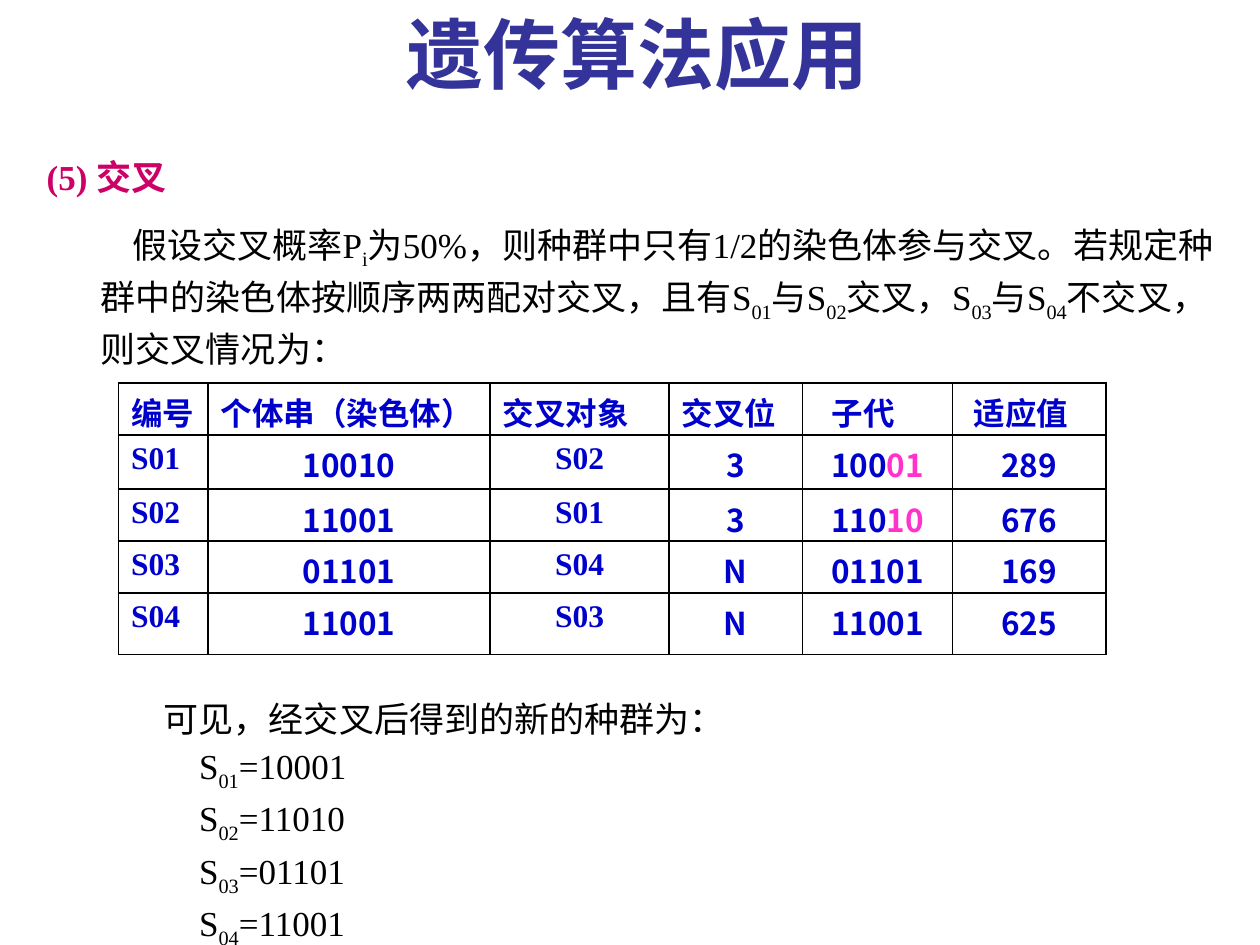
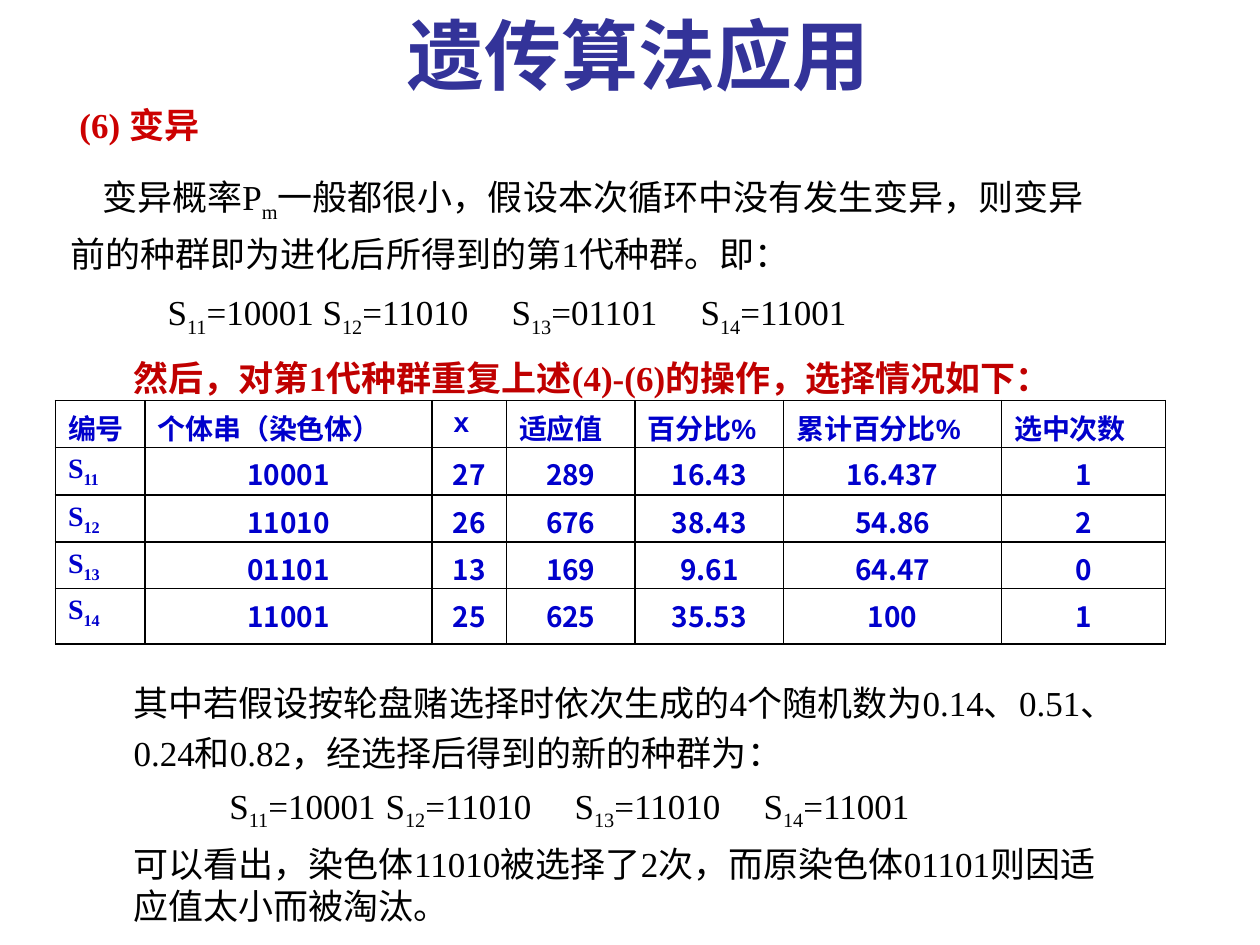
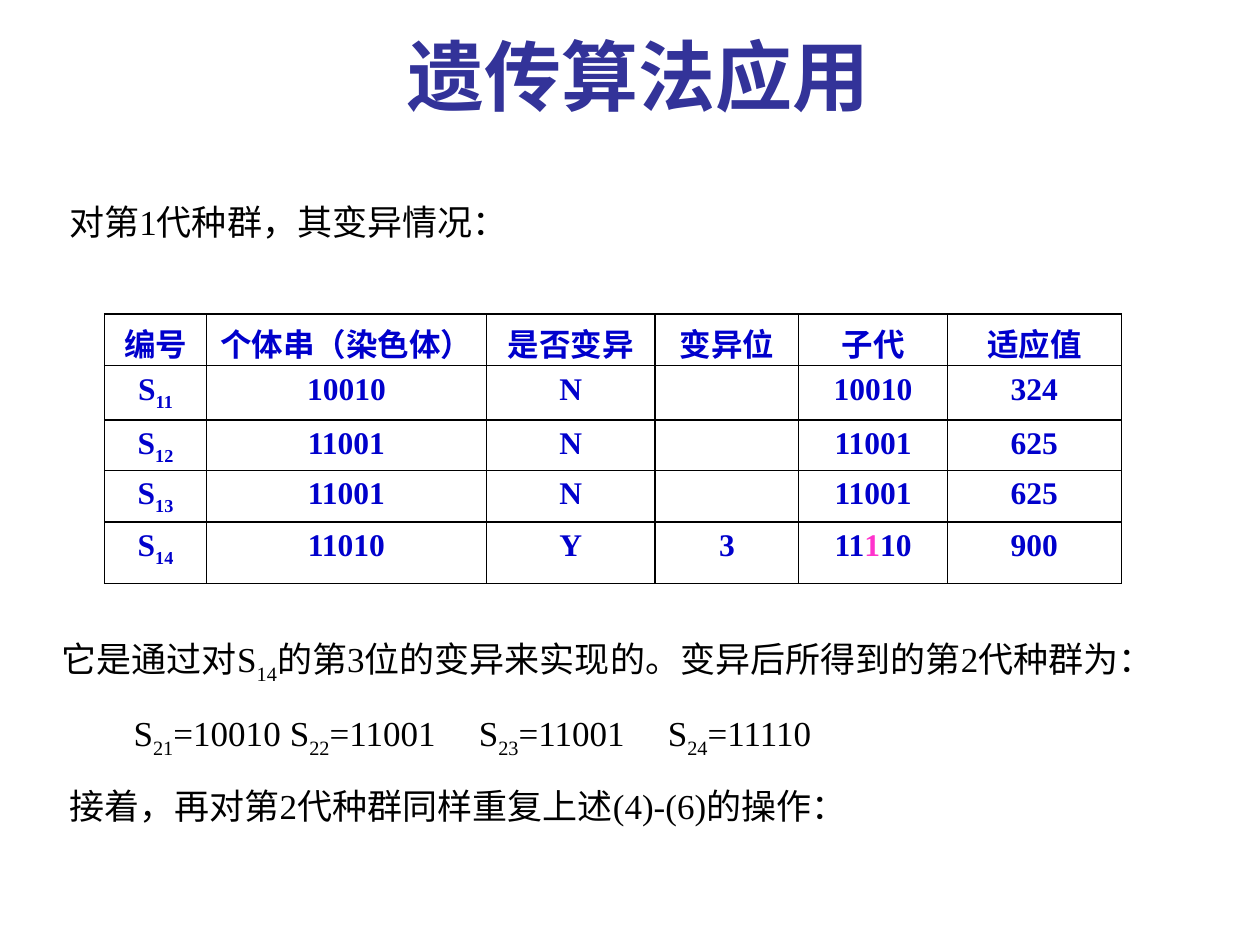
from lxml import etree
from pptx import Presentation
from pptx.dml.color import RGBColor
from pptx.enum.text import MSO_ANCHOR, MSO_AUTO_SIZE, PP_ALIGN
from pptx.oxml.ns import qn
from pptx.util import Inches, Pt

LEFT, CENTER = PP_ALIGN.LEFT, PP_ALIGN.CENTER
TOP, MIDDLE = MSO_ANCHOR.TOP, MSO_ANCHOR.MIDDLE
FIXED = MSO_AUTO_SIZE.NONE

COLORS = {
    "title": "333399", "text": "000000", "table": "0000CC", "changed": "FF33CC",
    "crossover": "CC0066", "mutation": "CC0000", "repeat": "C00000", "border": "000000",
}
SERIF, SANS, CJK, TITLE_FONT = "Times New Roman", "Arial", "Noto Sans CJK SC", "Noto Sans CJK JP"
TITLE = "遗传算法应用"
TITLE_SIZE, BODY_SIZE = 44, 20
LAYOUT_TITLE_AND_BODY = 1

# In the texts, |…| is a subscript and *…* is a changed gene.
SLIDES = [
    {
        "title_at": (2.01, 0, 6.1, 0.84),
        "body_at": (0.2, 1.15, 9.61, 6.19),
        "paragraphs": [
            {"text": "(5) 交叉", "first": 0.07, "line": 1.1, "color": "crossover", "bold": True},
            {"text": "假设交叉概率P|i|为50%，则种群中只有1/2的染色体参与交叉。若规定种群中的染色体"
                     "按顺序两两配对交叉，且有S|01|与S|02|交叉，S|03|与S|04|不交叉，则交叉情况为：",
             "left": 0.5, "first": 0.25, "line": 1.1, "before": 12},
            {"text": "可见，经交叉后得到的新的种群为：", "left": 1, "line": 1.1, "before": 185},
            *({"text": text, "left": 1, "first": 0.28, "line": 1.1}
              for text in ("S|01|=10001", "S|02|=11010", "S|03|=01101", "S|04|=11001")),
        ],
        "table": {
            "at": (0.94, 3.04), "size": 18, "header_font": SANS,
            "serif_columns": (0, 2), "centered": False, "header_indents": {4: 0.13, 5: 0.07},
            "columns": [0.71, 2.24, 1.42, 1.06, 1.19, 1.22],
            "rows": [0.39, 0.43, 0.4, 0.41, 0.49],
            "cells": [
                ["编号", "个体串（染色体）", "交叉对象", "交叉位", "子代", "适应值"],
                ["S01", "10010", "S02", "3", "100*01*", "289"],
                ["S02", "11001", "S01", "3", "110*10*", "676"],
                ["S03", "01101", "S04", "N", "01101", "169"],
                ["S04", "11001", "S03", "N", "11001", "625"],
            ],
        },
    },
    {
        "title_at": (2.02, 0.01, 6.1, 0.84),
        "body_at": (0.46, 0.77, 8.51, 6.73),
        "paragraphs": [
            {"text": "(6) 变异", "first": 0.07, "color": "mutation", "bold": True},
            {"text": "变异概率P|m|一般都很小，假设本次循环中没有发生变异，"
                     "则变异前的种群即为进化后所得到的第1代种群。即：",
             "first": 0.25, "line": 1.2, "before": 12},
            {"text": "S|11|=10001\tS|12|=11010\tS|13|=01101\tS|14|=11001",
             "first": 0.77, "line": 1.35, "tabs": (2.35, 4, 5.78)},
            {"text": "然后，对第1代种群重复上述(4)-(6)的操作，选择情况如下：",
             "left": 0.5, "before": 10, "color": "repeat", "bold": True},
            {"text": "其中若假设按轮盘赌选择时依次生成的4个随机数为0.14、0.51、0.24和0.82，"
                     "经选择后得到的新的种群为：", "left": 0.5, "line": 1.2, "before": 157},
            {"text": "S|11|=10001\tS|12|=11010\tS|13|=11010\tS|14|=11001",
             "first": 1.26, "before": 6, "tabs": (2.91, 4.55, 6.27)},
            {"text": "可以看出，染色体11010被选择了2次，而原染色体01101则因适应值太小而被淘汰。",
             "left": 0.5, "before": 6},
        ],
        "table": {
            "at": (0.44, 3.18), "size": 16, "header_font": SANS,
            "serif_columns": (0,), "centered": False, "header_indents": {2: 0.07},
            "columns": [0.71, 2.28, 0.59, 1.02, 1.18, 1.73, 1.3],
            "rows": [0.35, 0.38, 0.36, 0.36, 0.44],
            "cells": [
                ["编号", "个体串（染色体）", "x", "适应值", "百分比%", "累计百分比%", "选中次数"],
                ["S|11|", "10001", "27", "289", "16.43", "16.437", "1"],
                ["S|12|", "11010", "26", "676", "38.43", "54.86", "2"],
                ["S|13|", "01101", "13", "169", "9.61", "64.47", "0"],
                ["S|14|", "11001", "25", "625", "35.53", "100", "1"],
            ],
        },
    },
    {
        "title_at": (2.02, 0.17, 6.1, 0.84),
        "body_at": (0.2, 1.51, 9.8, 5.05),
        "paragraphs": [
            {"text": "对第1代种群，其变异情况：", "first": 0.25, "line": 1.1},
            {"text": "它是通过对S|14|的第3位的变异来实现的。变异后所得到的第2代种群为：",
             "first": 0.19, "line": 1.1, "before": 223},
            {"text": "S|21|=10010\tS|22|=11001\tS|23|=11001\tS|24|=11110",
             "first": 0.76, "line": 1.1, "before": 12, "tabs": (2.41, 4.13, 5.84)},
            {"text": "接着，再对第2代种群同样重复上述(4)-(6)的操作：",
             "first": 0.25, "line": 1.1, "before": 12},
        ],
        "table": {
            "at": (0.83, 2.49), "size": 18, "header_font": SERIF,
            "serif_columns": range(6), "centered": True, "header_indents": {},
            "columns": [0.81, 2.22, 1.34, 1.14, 1.18, 1.38],
            "rows": [0.39, 0.43, 0.4, 0.41, 0.49],
            "cells": [
                ["编号", "个体串（染色体）", "是否变异", "变异位", "子代", "适应值"],
                ["S|11|", "10010", "N", "", "10010", "324"],
                ["S|12|", "11001", "N", "", "11001", "625"],
                ["S|13|", "11001", "N", "", "11001", "625"],
                ["S|14|", "11010", "Y", "3", "11*1*10", "900"],
            ],
        },
    },
]


def write_runs(paragraph, text, font, size, color, bold):
    for part_index, part in enumerate(text.split("|")):
        for piece_index, piece in enumerate(part.split("*")):
            if not piece:
                continue
            run = paragraph.add_run()
            run.text = piece
            run.font.name = font
            run.font.size = Pt(size)
            run.font.bold = bold
            run.font.color.rgb = RGBColor.from_string(COLORS["changed" if piece_index % 2 else color])
            if part_index % 2:
                run.font._element.set("baseline", "-25000")


def set_indent(paragraph, left=0, first=0, tabs=()):
    properties = paragraph._p.get_or_add_pPr()
    properties.set("marL", str(Inches(left)))
    properties.set("indent", str(Inches(first)))
    etree.SubElement(properties, qn("a:buNone"))
    if tabs:
        tab_list = etree.SubElement(properties, qn("a:tabLst"))
        for position in tabs:
            etree.SubElement(tab_list, qn("a:tab"), pos=str(Inches(position)), algn="l")


def place(shape, box):
    shape.left, shape.top, shape.width, shape.height = map(Inches, box)


def fill_title(shape, box):
    place(shape, box)
    frame = shape.text_frame
    frame.auto_size = FIXED
    frame.vertical_anchor = MIDDLE
    frame.paragraphs[0].alignment = CENTER
    write_runs(frame.paragraphs[0], TITLE, TITLE_FONT, TITLE_SIZE, "title", True)


def fill_body(shape, box, paragraphs):
    place(shape, box)
    frame = shape.text_frame
    frame.auto_size = FIXED
    frame.vertical_anchor = TOP
    for index, item in enumerate(paragraphs):
        paragraph = frame.add_paragraph() if index else frame.paragraphs[0]
        paragraph.alignment = LEFT
        paragraph.line_spacing = item.get("line", 1.0)
        paragraph.space_before = Pt(item.get("before", 0))
        set_indent(paragraph, item.get("left", 0), item.get("first", 0), item.get("tabs", ()))
        write_runs(paragraph, item["text"], SERIF, BODY_SIZE,
                   item.get("color", "text"), item.get("bold", False))


def style_cell(cell):
    properties = cell._tc.get_or_add_tcPr()
    for side in ("lnL", "lnR", "lnT", "lnB"):
        line = etree.SubElement(properties, qn(f"a:{side}"), w=str(Pt(1)))
        fill = etree.SubElement(line, qn("a:solidFill"))
        etree.SubElement(fill, qn("a:srgbClr"), val=COLORS["border"])
    cell.fill.background()
    cell.margin_bottom = 0


def add_gene_table(slide, spec_table):
    columns, rows = spec_table["columns"], spec_table["rows"]
    box = (*spec_table["at"], sum(columns), sum(rows))
    table = slide.shapes.add_table(len(rows), len(columns), *map(Inches, box)).table
    table.first_row = table.horz_banding = False
    for column, width in zip(table.columns, columns):
        column.width = Inches(width)
    for row_index, texts in enumerate(spec_table["cells"]):
        table.rows[row_index].height = Inches(rows[row_index])
        for column_index, text in enumerate(texts):
            cell = table.cell(row_index, column_index)
            style_cell(cell)
            paragraph = cell.text_frame.paragraphs[0]
            is_inner = row_index > 0 and column_index > 0
            paragraph.alignment = CENTER if is_inner or spec_table["centered"] else LEFT
            if row_index == 0:
                font = spec_table["header_font"]
                set_indent(paragraph, first=spec_table["header_indents"].get(column_index, 0))
            else:
                font = SERIF if column_index in spec_table["serif_columns"] else CJK
            write_runs(paragraph, text, font, spec_table["size"], "table", True)


def main():
    presentation = Presentation()
    presentation.slide_width, presentation.slide_height = Inches(10), Inches(7.5)
    layout = presentation.slide_layouts[LAYOUT_TITLE_AND_BODY]
    for content in SLIDES:
        slide = presentation.slides.add_slide(layout)
        fill_title(slide.shapes.title, content["title_at"])
        fill_body(slide.placeholders[1], content["body_at"], content["paragraphs"])
        add_gene_table(slide, content["table"])


    presentation.save("out.pptx")


if __name__ == "__main__":
    main()
